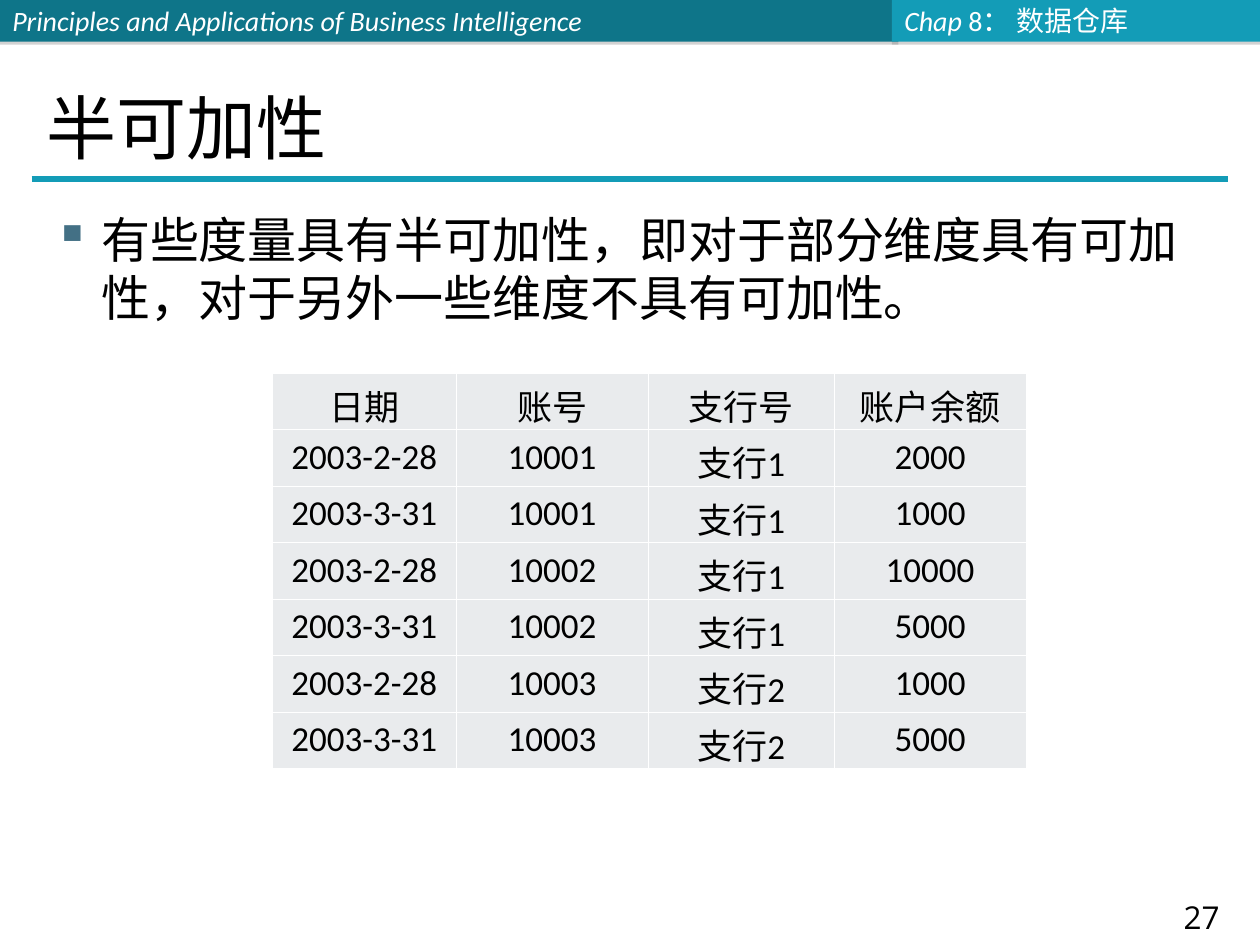
from dataclasses import dataclass

from lxml import etree
from pptx import Presentation, util as u
from pptx.dml.color import RGBColor
from pptx.enum import shapes, text
from pptx.oxml import parse_xml
from pptx.oxml.ns import qn

NS = 'xmlns:a="http://schemas.openxmlformats.org/drawingml/2006/main"'
HUES = {"dark": "0E7589", "teal": "139CB7", "white": "FFFFFF", "black": "000000",
        "cell": "E9EBED", "mark": "437085", "shade": "808080"}
HAN = "Noto Sans CJK SC"


@dataclass
class Box:
    left: float
    top: float
    wide: float
    high: float

    def cm(self) -> list:
        return [u.Cm(v) for v in (self.left, self.top, self.wide, self.high)]


@dataclass
class Band:
    box: Box
    hue: str
    runs: list  # (words, italic)


BANDS = [
    Band(Box(0, 0, 18.11, 0.84), "dark",
         [("Principles and Applications of Business Intelligence", True)]),
    Band(Box(17.98, 0, 7.47, 0.84), "teal", [("Chap ", True), ("8： 数据仓库", False)]),
]
HEADS = ["日期", "账号", "支行号", "账户余额"]
DAYS = ["2003-2-28", "2003-3-31"]
ACCTS = [("10001", "支行1", ("2000", "1000")),
         ("10002", "支行1", ("10000", "5000")),
         ("10003", "支行2", ("1000", "5000"))]
WIDTHS = [3.71, 3.86, 3.76, 3.86]
ROW = 1.14


def color(name: str) -> RGBColor:
    return RGBColor.from_string(HUES[name])


def write(frame, words: str, size=20, font="Calibri", hue="black", italic=False,
          align=text.PP_ALIGN.LEFT, lead=None):
    """Add a run to the first paragraph of a text frame."""
    par = frame.paragraphs[0]
    par.alignment = align
    if lead:
        par.line_spacing = u.Pt(lead)
    run = par.add_run()
    run.text = words
    face = run.font
    face.size, face.name, face.italic = u.Pt(size), font, italic
    face.color.rgb = color(hue)
    etree.SubElement(face._element, qn("a:ea")).set("typeface", HAN)
    return par


def add_box(slide, box: Box, anchor=text.MSO_ANCHOR.TOP):
    frame = slide.shapes.add_textbox(*box.cm()).text_frame
    frame.word_wrap = True
    frame.vertical_anchor = anchor
    return frame


def add_band(slide, band: Band) -> None:
    bar = slide.shapes.add_shape(shapes.MSO_SHAPE.RECTANGLE, *band.box.cm())
    bar.fill.solid()
    bar.fill.fore_color.rgb = color(band.hue)
    bar.line.fill.background()
    bar.shadow.inherit = False
    glow = bar._element.spPr.find(qn("a:effectLst"))
    glow.append(parse_xml(
        f'<a:outerShdw {NS} blurRad="0" dist="{u.Pt(1.8)}" dir="5400000" rotWithShape="0">'
        f'<a:srgbClr val="{HUES["shade"]}"><a:alpha val="35000"/></a:srgbClr></a:outerShdw>'))
    frame = bar.text_frame
    frame.word_wrap = True
    frame.vertical_anchor = text.MSO_ANCHOR.MIDDLE
    for words, slant in band.runs:
        write(frame, words, size=16, hue="white", italic=slant)


def add_rule(slide, left: float, right: float, y: float) -> None:
    rule = slide.shapes.add_connector(
        shapes.MSO_CONNECTOR.STRAIGHT, u.Cm(left), u.Cm(y), u.Cm(right), u.Cm(y))
    rule.line.color.rgb = color("teal")
    rule.line.width = u.Pt(3)
    etree.SubElement(rule._element.spPr, qn("a:effectLst"))


def add_mark(par, dent: float) -> None:
    props = par._p.get_or_add_pPr()
    props.set("marL", str(u.Cm(dent)))
    props.set("indent", str(-u.Cm(dent)))
    for part in (f'<a:buClr {NS}><a:srgbClr val="{HUES["mark"]}"/></a:buClr>',
                 f'<a:buChar {NS} char="▪"/>'):
        props.append(parse_xml(part))


def fill_cell(cell, words: str) -> None:
    cell.margin_left = cell.margin_right = u.Cm(0.1)
    cell.margin_top = cell.margin_bottom = u.Cm(0.13)
    # Borders come before the fill in the cell properties
    props = cell._tc.get_or_add_tcPr()
    for side in "LRTB":
        props.append(parse_xml(
            f'<a:ln{side} {NS} w="{u.Pt(0.45)}"><a:solidFill>'
            f'<a:srgbClr val="{HUES["white"]}"/></a:solidFill></a:ln{side}>'))
    cell.fill.solid()
    cell.fill.fore_color.rgb = color("cell")
    write(cell.text_frame, words, align=text.PP_ALIGN.CENTER)


def add_grid(slide, left: float, top: float, rows: list) -> None:
    box = Box(left, top, sum(WIDTHS), ROW * len(rows))
    grid = slide.shapes.add_table(len(rows), len(WIDTHS), *box.cm()).table
    grid.first_row = grid.horz_banding = False
    for col, wide in zip(grid.columns, WIDTHS):
        col.width = u.Cm(wide)
    for r, row in enumerate(rows):
        grid.rows[r].height = u.Cm(ROW)
        for c, words in enumerate(row):
            fill_cell(grid.cell(r, c), words)


def main() -> None:
    deck = Presentation()
    deck.slide_width, deck.slide_height = u.Cm(25.4), u.Cm(19.05)
    slide = deck.slides.add_slide(deck.slide_layouts[6])

    # Header bands
    for band in BANDS:
        add_band(slide, band)

    # Page number
    page = add_box(slide, Box(22.94, 18.03, 2.57, 0.97))
    write(page, "27", size=18, font="Open Sans", align=text.PP_ALIGN.CENTER, lead=20)

    # Title and rule
    add_rule(slide, 0.64, 24.76, 3.61)
    title = add_box(slide, Box(0.69, 1.24, 23.7, 2.29), text.MSO_ANCHOR.BOTTOM)
    write(title, "半可加性", size=40, font=HAN)

    # Main point
    body = add_box(slide, Box(0.84, 4.09, 23.7, 13.49))
    par = write(body, "有些度量具有半可加性，即对于部分维度具有可加性，对于另外一些维度不具有可加性。",
                size=28, font="Times New Roman")
    add_mark(par, 0.95)

    # Account balances
    rows = [[day, acct, branch, sum_] for acct, branch, sums in ACCTS
            for day, sum_ in zip(DAYS, sums)]
    add_grid(slide, 5.49, 7.52, [HEADS] + rows)

    deck.save("out.pptx")


if __name__ == "__main__":
    main()
